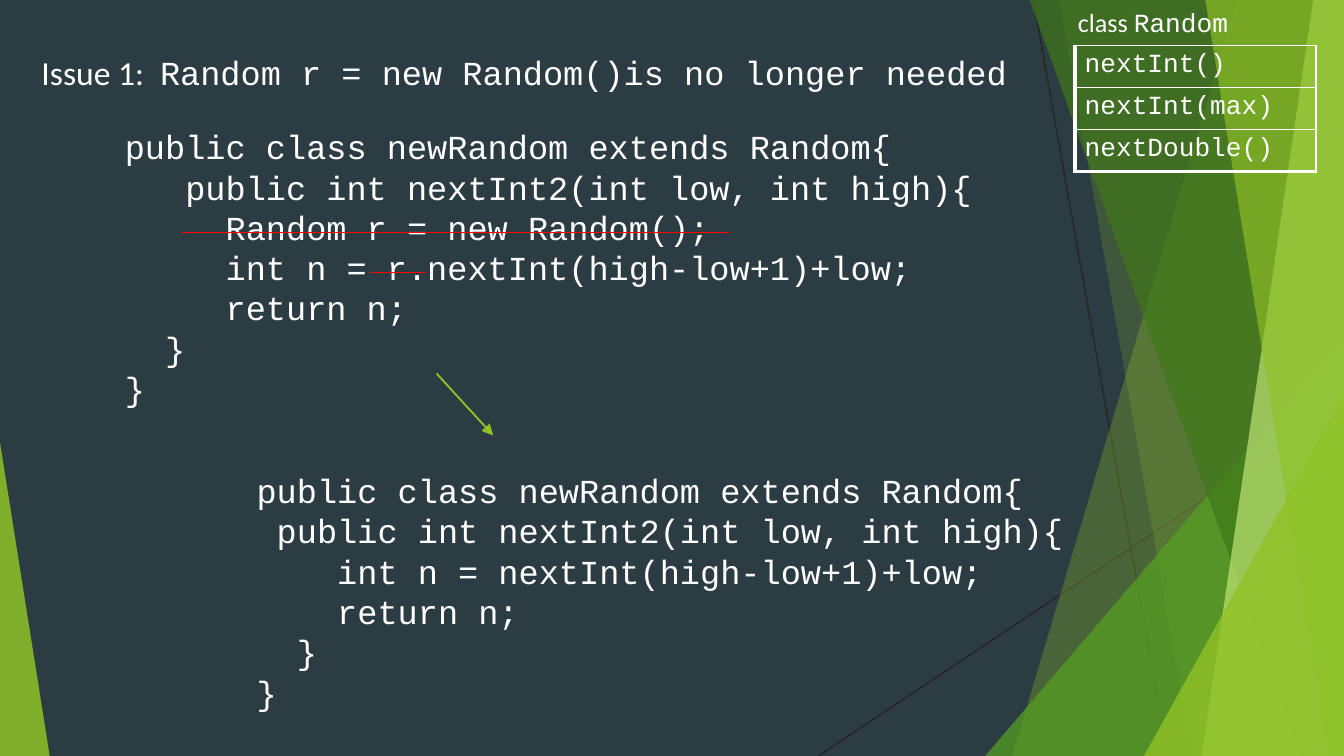
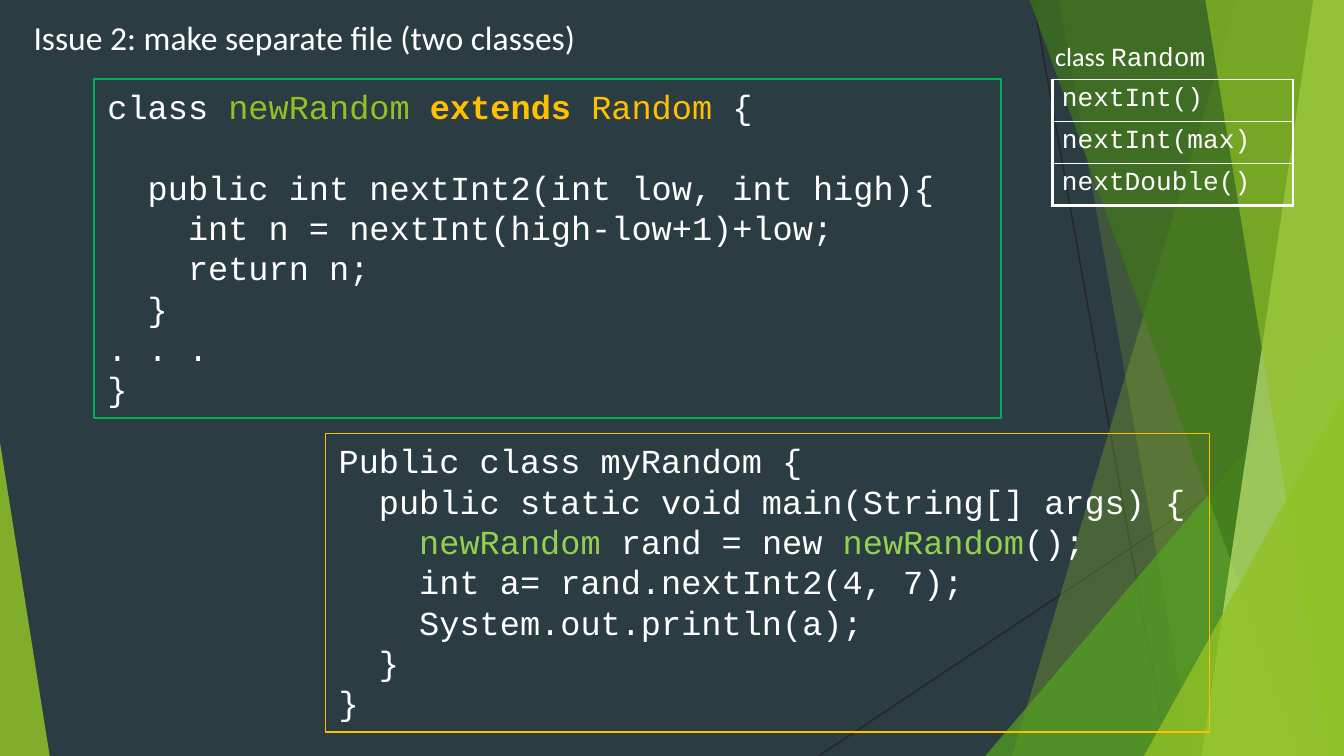
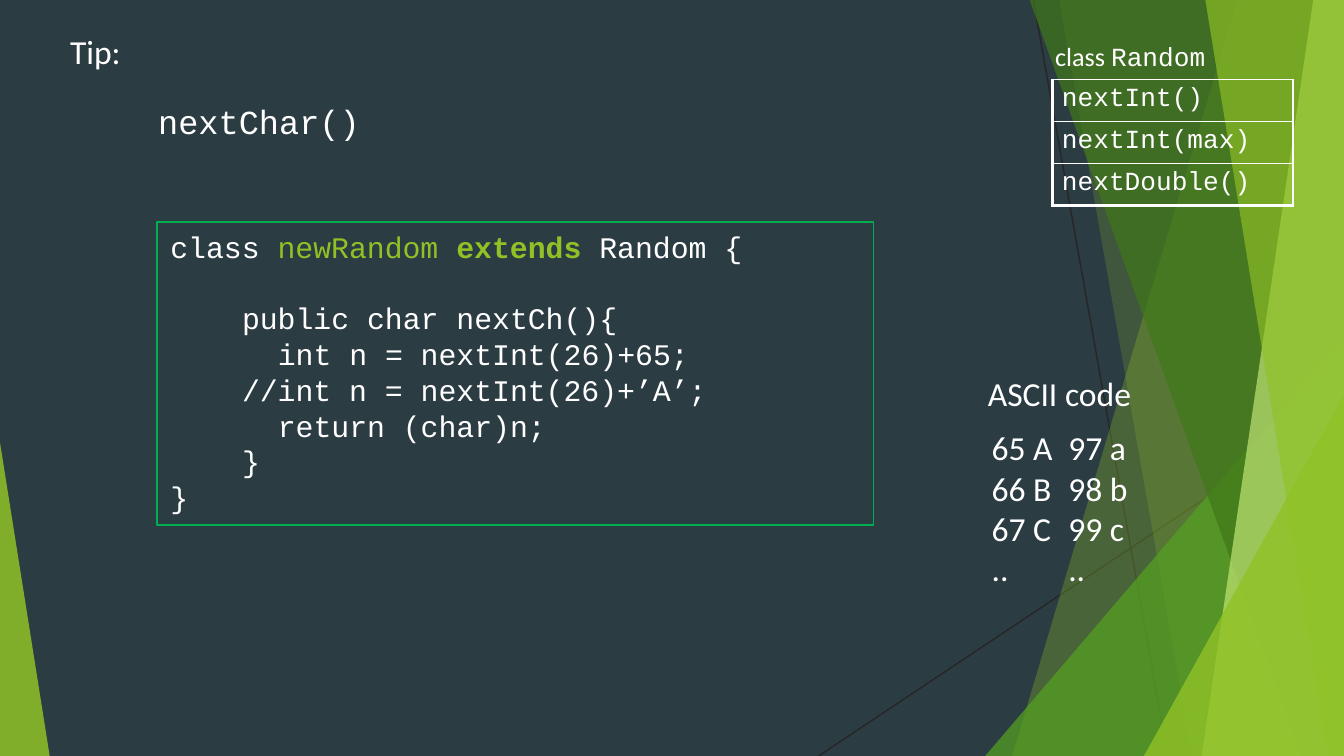
from lxml import etree
from pptx import Presentation
from pptx import util as u
from pptx.dml.color import RGBColor
from pptx.enum import shapes, text
from pptx.oxml.ns import qn

SLATE = RGBColor(0x2C, 0x3C, 0x43)
INK = RGBColor(0x26, 0x26, 0x26)
WHITE = RGBColor(0xFF, 0xFF, 0xFF)
GREEN = RGBColor(0x90, 0xC2, 0x26)
MID_GREEN = RGBColor(0x54, 0xA0, 0x21)
DARK_GREEN = RGBColor(0x3F, 0x78, 0x19)
PALE_GREEN = RGBColor(0xC0, 0xE4, 0x74)
LIGHT_GREEN = RGBColor(0x92, 0xD0, 0x50)
FRAME_GREEN = RGBColor(0x00, 0xB0, 0x50)
GOLD = RGBColor(0xFF, 0xC0, 0x00)
RED = RGBColor(0xFF, 0x00, 0x00)

SANS, MONO = "Calibri", "Courier New"
WIDTH, HEIGHT = 25.4, 14.29
LINE_PITCH, MONO_PITCH = 1.2, 0.6  # line height and letter width per point

# Backdrop: rays are (from, to); bands are (top x, bottom x, colour, opacity)
# reaching the right edge; corners are (left, top, width, tip, colour, opacity).
RAYS = [((19.53, 0), (22.07, HEIGHT)), ((WIDTH, 7.67), (15.47, HEIGHT))]
FACETS = [
    ("band", 23.39, 19.13, GREEN, 30),
    ("band", 20.02, 22.53, GREEN, 20),
    ("corner", 18.62, 6.35, 6.78, 1, MID_GREEN, 72),
    ("band", 19.46, 24.59, DARK_GREEN, 70),
    ("band", 24.82, 22.71, PALE_GREEN, 70),
    ("band", 22.78, 25.1, GREEN, 65),
    ("corner", 21.62, 7.47, 3.78, 1, GREEN, 80),
    ("corner", 0, 8.36, 0.94, 0, GREEN, 85),
]
METHODS = ["nextInt()", "nextInt(max)", "nextDouble()"]
METHODS_LABEL = [("class ", {}), ("Random", {"name": MONO})]

# A line is a string or a list of (text, format) spans; leading spaces become
# an indent and an empty line becomes space above the next one.
SLIDES = [
    {
        "title": ([("Issue 1:\t", {}),
                   ("Random r = new Random()is no longer needed", {"name": MONO})],
                  (0.53, 0.86, 19.23, 1.02), 2.24),
        "methods": (20.32, 0.86),
        "boxes": [
            {"at": (2.11, 2.26, 19.05, 5.64), "lines": [
                "public class newRandom extends Random{",
                "   public int nextInt2(int low, int high){",
                "     Random r = new Random();",
                "     int n = r.nextInt(high-low+1)+low;",
                "     return n;",
                "  }",
                "}"]},
            {"at": (4.6, 8.76, 19.05, 4.88), "lines": [
                "public class newRandom extends Random{",
                " public int nextInt2(int low, int high){",
                "    int n = nextInt(high-low+1)+low;",
                "    return n;",
                "  }",
                "}"]},
        ],
        "lines": [
            ((8.25, 7.06), (9.32, 8.23), GREEN, 1, True),
            ((3.43, 4.39), (13.8, 4.39), RED, 0.5, False),
            ((6.99, 5.15), (8.06, 5.15), RED, 0.5, False),
        ],
    },
    {
        "title": ("Issue 2: make separate file (two classes)",
                  (0.38, 0.2, 10.87, 1.02), None),
        "methods": (19.89, 1.5),
        "boxes": [
            {"at": (1.78, 1.5, 17.14, 6.4), "frame": (FRAME_GREEN, 1), "lines": [
                [("class ", {}), ("newRandom ", {"color": GREEN}),
                 ("extends", {"color": GOLD, "bold": True}),
                 (" Random ", {"color": GOLD}), ("{", {})],
                "",
                "  public int nextInt2(int low, int high){",
                "    int n = nextInt(high-low+1)+low;",
                "    return n;",
                "  }",
                ". . .",
                "}"]},
            {"at": (6.15, 8.2, 16.71, 5.64), "frame": (GOLD, 0.75), "lines": [
                "Public class myRandom {",
                "  public static void main(String[] args) {",
                [("    newRandom", {"color": LIGHT_GREEN}), (" rand = new ", {}),
                 ("newRandom", {"color": LIGHT_GREEN}), ("();", {})],
                "    int a= rand.nextInt2(4, 7);",
                "    System.out.println(a);",
                "  }",
                "}"]},
        ],
    },
    {
        "title": ("Tip:", (1.07, 0.46, 1.47, 1.02), None),
        "methods": (19.89, 1.5),
        "boxes": [
            {"at": (2.97, 4.19, 13.54, 5.74), "frame": (FRAME_GREEN, 1), "size": 16,
             "lines": [
                [("class ", {}), ("newRandom ", {"color": GREEN}),
                 ("extends", {"color": GREEN, "bold": True}), (" Random {", {})],
                "",
                "    public char nextCh(){",
                "      int n = nextInt(26)+65;",
                "    //int n = nextInt(26)+\u2019A\u2019;",
                "      return (char)n;",
                "    }",
                "}"]},
            {"at": (2.74, 1.78, 4.34, 1.02), "wrap": False, "lines": ["nextChar()"]},
            {"at": (18.42, 6.93, 3.25, 1.02), "wrap": False, "font": SANS,
             "lines": ["ASCII code"]},
            {"at": (18.49, 7.95, 3.1, 3.33), "wrap": False, "font": SANS, "tab": 1.45,
             "lines": ["65 A\t97 a", "66 B\t98 b", "67 C\t99 c", "..\t.."]},
        ],
    },
]


def cms(*values):
    """Turn numbers into lengths in centimetres."""
    return [u.Cm(value) for value in values]


def write_spans(para, line, font, size):
    """Write one line, a string or a list of spans, into a paragraph."""
    for words, changes in [(line, {})] if isinstance(line, str) else line:
        span = para.add_run()
        span.text = words
        look = {"name": font, "size": u.Pt(size), "bold": False, **changes}
        span.font.color.rgb = look.pop("color", WHITE)
        for key, value in look.items():
            setattr(span.font, key, value)


def split_indent(line):
    """Return the number of leading spaces and the line without them."""
    spans = [(line, {})] if isinstance(line, str) else line
    first, look = spans[0]
    bare = first.lstrip(" ")
    return len(first) - len(bare), [(bare, look), *spans[1:]]


def fill_box(box, lines, font=MONO, size=18, wrap=True, tab=None):
    """Set the frame of a box and write its lines."""
    frame = box.text_frame
    settings = {"word_wrap": wrap, "vertical_anchor": text.MSO_ANCHOR.TOP,
                "auto_size": text.MSO_AUTO_SIZE.SHAPE_TO_FIT_TEXT}
    for key, value in settings.items():
        setattr(frame, key, value)
    pitch = u.Pt(size * LINE_PITCH)
    para, gap = frame.paragraphs[0], 0
    for number, line in enumerate(lines):
        if not line:
            gap = pitch
            continue
        if number:
            para = frame.add_paragraph()
        depth, spans = split_indent(line)
        spacing = {"alignment": text.PP_ALIGN.LEFT, "line_spacing": pitch,
                   "space_before": u.Pt(0) + gap}
        for key, value in spacing.items():
            setattr(para, key, value)
        props = para._p.get_or_add_pPr()
        if depth:
            props.set("marL", str(int(u.Pt(depth * size * MONO_PITCH))))
            props.set("indent", "0")
        if tab:
            stops = etree.SubElement(props, qn("a:tabLst"))
            etree.SubElement(stops, qn("a:tab"), pos=str(int(u.Cm(tab))), algn="l")
        write_spans(para, spans, font, size)
        gap = 0


def add_line(target, start, end, color, weight, arrow=False):
    """Draw a straight line, with an arrowhead at its end if asked."""
    line = target.add_connector(shapes.MSO_CONNECTOR.STRAIGHT, *cms(*start, *end))
    line.line.color.rgb = color
    line.line.width = u.Pt(weight)
    props = line.element.spPr
    if arrow:
        etree.SubElement(props.find(qn("a:ln")), qn("a:tailEnd"), type="triangle")
    etree.SubElement(props, qn("a:effectLst"))


def add_facet(target, kind, *parts):
    """Draw one see-through band or corner triangle of the backdrop."""
    *place, color, opacity = parts
    if kind == "band":
        top, bottom = place
        outline = target.build_freeform(*cms(top, 0))
        outline.add_line_segments(
            [cms(WIDTH, 0), cms(WIDTH, HEIGHT), cms(bottom, HEIGHT)], close=True)
        facet = outline.convert_to_shape()
    else:
        left, top, width, tip = place
        facet = target.add_shape(shapes.MSO_SHAPE.ISOSCELES_TRIANGLE,
                                 *cms(left, top, width, HEIGHT - top))
        facet.adjustments[0] = tip
    facet.shadow.inherit = False
    facet.line.fill.background()
    facet.fill.solid()
    facet.fill.fore_color.rgb = color
    tint = facet.element.spPr.find(".//" + qn("a:srgbClr"))
    etree.SubElement(tint, qn("a:alpha"), val=str(opacity * 1000))


def set_backdrop(deck, page):
    """Draw the backdrop once and move it to the slide master."""
    master = deck.slide_master
    master.background.fill.solid()
    master.background.fill.fore_color.rgb = SLATE
    group = page.shapes.add_group_shape()
    for start, end in RAYS:
        add_line(group.shapes, start, end, INK, 0.75)
    for facet in FACETS:
        add_facet(group.shapes, *facet)
    master.shapes.element.insert(2, group.element)


def add_borders(cell, weights):
    """Give a cell white borders of the given weights."""
    props = cell._tc.get_or_add_tcPr()
    for side, weight in weights.items():
        edge = etree.SubElement(props, qn("a:ln" + side), w=str(int(u.Pt(weight))))
        paint = etree.SubElement(edge, qn("a:solidFill"))
        etree.SubElement(paint, qn("a:srgbClr"), val=str(WHITE))


def add_methods(page, left, top):
    """Add the table of methods and the label above it."""
    table = page.shapes.add_table(
        len(METHODS), 1, *cms(left, top, 4.55, 0.78 * len(METHODS))).table
    table.first_row = table.horz_banding = False
    for row, method in enumerate(METHODS):
        cell = table.cell(row, 0)
        last = row == len(METHODS) - 1
        add_borders(cell, {"L": 2.25, "R": 1, "T": 1, "B": 2.25 if last else 1})
        cell.fill.background()
        for side, inset in zip(("left", "top", "right", "bottom"),
                               cms(0.18, 0.1, 0.18, 0.1)):
            setattr(cell, "margin_" + side, inset)
        para = cell.text_frame.paragraphs[0]
        para.space_before = u.Pt(2.8)
        write_spans(para, method, MONO, 14)
    label = page.shapes.add_textbox(*cms(left - 0.2, top - 0.86, 3.35, 0.86))
    fill_box(label, [METHODS_LABEL], SANS, 14, wrap=False)


def build_page(page, content):
    """Fill one slide from its content."""
    title, place, tab = content["title"]
    heading = page.shapes.title
    for key, value in zip(("left", "top", "width", "height"), cms(*place)):
        setattr(heading, key, value)
    fill_box(heading, [title], SANS, wrap=False, tab=tab)
    add_methods(page, *content["methods"])
    for item in content["boxes"]:
        options = dict(item)
        box = page.shapes.add_textbox(*cms(*options.pop("at")))
        frame = options.pop("frame", None)
        if frame:
            box.line.color.rgb, box.line.width = frame[0], u.Pt(frame[1])
        fill_box(box, **options)
    for line in content.get("lines", []):
        add_line(page.shapes, *line)


deck = Presentation()
deck.slide_width, deck.slide_height = cms(WIDTH, HEIGHT)
title_only = deck.slide_layouts[5]
pages = [deck.slides.add_slide(title_only) for _ in SLIDES]
set_backdrop(deck, pages[0])
for page, content in zip(pages, SLIDES):
    build_page(page, content)
deck.save("out.pptx")
